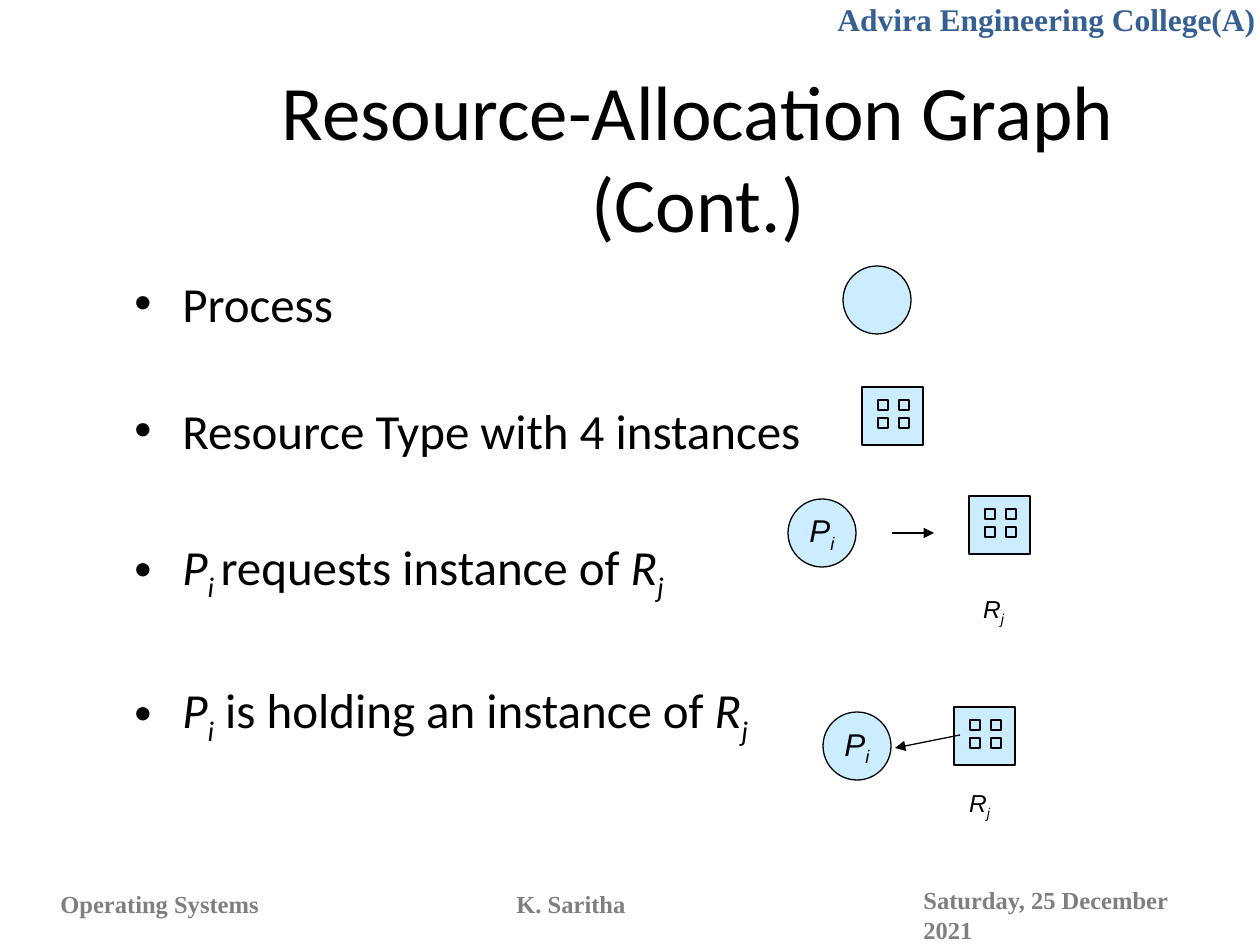
from itertools import product

from lxml.etree import SubElement
from pptx import Presentation
from pptx.dml.color import RGBColor
from pptx.enum.shapes import MSO_CONNECTOR, MSO_SHAPE
from pptx.enum.text import MSO_ANCHOR, PP_ALIGN
from pptx.oxml.ns import qn
from pptx.util import Emu, Pt

PX_PER_INCH = 126
BLACK = RGBColor(0x00, 0x00, 0x00)
BLUE = RGBColor(0x37, 0x60, 0x92)
GRAY = RGBColor(0x7F, 0x7F, 0x7F)
PALE_BLUE = RGBColor(0xCC, 0xEC, 0xFF)
LINE_WIDTH = Pt(0.75)

PLAIN, ITALIC, SUB = range(3)
PROCESS = [("P", ITALIC), ("i", SUB)]
RESOURCE = [("R", ITALIC), ("j", SUB)]


def px(*values):
    return [Emu(round(v * 914400 / PX_PER_INCH)) for v in values]


def write(p, runs, size=18, font="Calibri", color=BLACK, bold=False,
          align=PP_ALIGN.LEFT, before=0):
    p.alignment = align
    p.space_before = Pt(before)
    for text, style in runs:
        r = p.add_run()
        r.text = text
        r.font.size = Pt(size)
        r.font.name = font
        r.font.color.rgb = color
        r.font.bold = bold
        r.font.italic = style != PLAIN
        if style == SUB:
            r.font._element.set("baseline", "-25000")


def add_text(s, box, runs, wrap=True, anchor=MSO_ANCHOR.TOP, **fmt):
    tf = s.shapes.add_textbox(*px(*box)).text_frame
    tf.word_wrap = wrap
    tf.vertical_anchor = anchor
    write(tf.paragraphs[0], runs, **fmt)


def add_bullets(s, box, items):
    tf = s.shapes.add_textbox(*px(*box)).text_frame
    tf.word_wrap = True
    indent = px(48)[0]
    for n, (runs, before) in enumerate(items):
        p = tf.add_paragraph() if n else tf.paragraphs[0]
        write(p, runs, size=28, before=before)
        pPr = p._p.get_or_add_pPr()
        pPr.set("marL", str(indent))
        pPr.set("indent", str(-indent))
        SubElement(pPr, qn("a:buFont")).set("typeface", "Arial")
        SubElement(pPr, qn("a:buChar")).set("char", "•")


def add_shape(shapes, kind, box):
    sp = shapes.add_shape(kind, *px(*box))
    sp.shadow.inherit = False
    sp.fill.solid()
    sp.fill.fore_color.rgb = PALE_BLUE
    sp.line.color.rgb = BLACK
    sp.line.width = LINE_WIDTH
    return sp


def add_process(s, x, y, runs=()):
    tf = add_shape(s.shapes, MSO_SHAPE.OVAL, (x, y, 68, 68)).text_frame
    tf.word_wrap = False
    tf.vertical_anchor = MSO_ANCHOR.MIDDLE
    write(tf.paragraphs[0], runs, font="Arial", align=PP_ALIGN.CENTER)


def add_resource(s, x, y):
    group = s.shapes.add_group_shape()
    add_shape(group.shapes, MSO_SHAPE.RECTANGLE, (x, y, 61, 58))
    for dy, dx in product((13, 31), (16, 37)):
        add_shape(group.shapes, MSO_SHAPE.RECTANGLE, (x + dx, y + dy, 10, 10))


def add_arrow(s, *ends):
    line = s.shapes.add_connector(MSO_CONNECTOR.STRAIGHT, *px(*ends))
    line.line.color.rgb = BLACK
    line.line.width = LINE_WIDTH
    SubElement(line.line._get_or_add_ln(), qn("a:tailEnd")).set("type", "triangle")
    SubElement(line._element.spPr, qn("a:effectLst"))


def main():
    prs = Presentation()
    prs.slide_width, prs.slide_height = px(1260, 945)
    s = prs.slides.add_slide(prs.slide_layouts[6])

    add_text(s, (825, -6, 446, 50), [("Advira Engineering College(A)", PLAIN)],
             font="Times New Roman", color=BLUE, bold=True)
    for box, text, wrap in (
        ((48, 883, 226, 43), "Operating Systems", False),
        ((504, 883, 135, 43), "K. Saritha", False),
        ((911, 879, 324, 43), "Saturday, 25 December 2021", True),
    ):
        add_text(s, box, [(text, PLAIN)], wrap=wrap, size=14,
                 font="Times New Roman", color=GRAY, bold=True)

    add_text(s, (160, 116, 1076, 79),
             [("Resource-Allocation Graph (Cont.)", PLAIN)],
             anchor=MSO_ANCHOR.MIDDLE, size=44, align=PP_ALIGN.CENTER)
    add_bullets(s, (122, 267, 1012, 532), [
        ([("Process", PLAIN)], 0),
        ([("Resource Type with 4 instances", PLAIN)], 39),
        ([("P", ITALIC), ("i ", SUB), ("requests instance of ", PLAIN)] + RESOURCE, 44),
        (PROCESS + [(" is holding an instance of ", PLAIN)] + RESOURCE, 44),
    ])

    add_process(s, 843, 266)
    add_process(s, 823, 712, PROCESS)
    add_process(s, 788, 499, PROCESS)
    for x, y in ((862, 387), (969, 496), (954, 707)):
        add_resource(s, x, y)
    add_arrow(s, 892, 533, 934, 533)
    add_arrow(s, 960, 735, 895, 748)
    for x, y in ((970, 590), (956, 784)):
        add_text(s, (x, y, 47, 42), RESOURCE, wrap=False, anchor=MSO_ANCHOR.MIDDLE,
                 size=14, font="Arial", align=PP_ALIGN.CENTER)

    prs.save("out.pptx")


if __name__ == "__main__":
    main()
